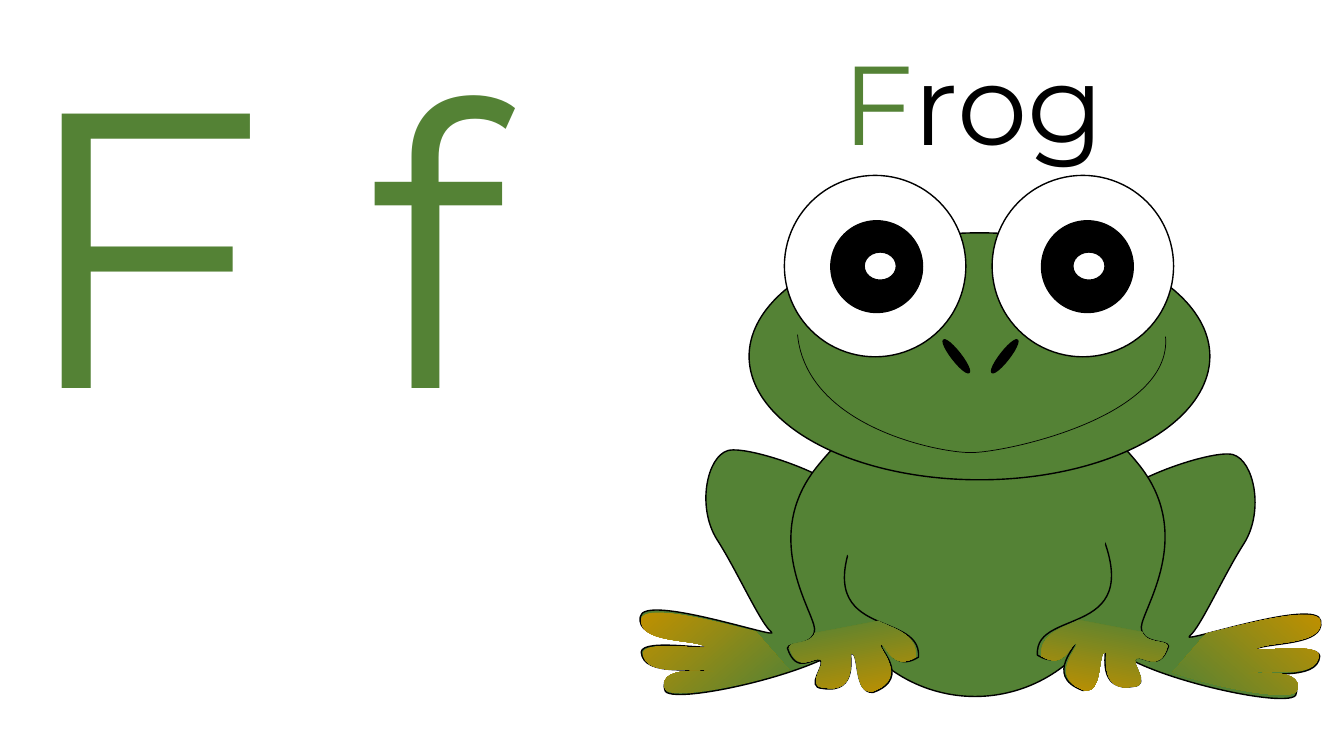
from dataclasses import dataclass

from lxml import etree
from pptx import Presentation
from pptx import util as u
from pptx.dml.color import RGBColor
from pptx.enum import shapes, text
from pptx.oxml.ns import qn


@dataclass(frozen=True)
class Theme:
    """Colours, font and sizes of the alphabet card."""
    green: str = "548235"
    gold: str = "BF9000"
    black: str = "000000"
    white: str = "FFFFFF"
    font: str = "Montserrat"
    letters: int = 280
    word: int = 80
    outline: float = 1
    thin: float = 0.5


THEME = Theme()
PX = 9144
STEPS = 24

LEG = [(711, 535), (691, 503, 701, 453, 722, 447), (744, 441, 850, 479, 841, 500),
       (833, 520, 854, 604, 844, 633), (834, 662, 673, 700, 660, 686),
       (648, 655, 726, 670, 710, 666), (694, 661, 638, 673, 636, 647),
       (637, 632, 714, 647, 700, 640), (686, 633, 631, 637, 635, 612),
       (638, 588, 777, 636, 765, 627), (754, 618, 731, 566, 711, 535)]
ARM = [(812, 461), (871, 389, 918, 391, 927, 398), (935, 405, 865, 459, 862, 501),
       (785, 643, 915, 600, 911, 652), (887, 667, 880, 640, 875, 640),
       (867, 639, 907, 672, 866, 687), (846, 688, 853, 646, 844, 648),
       (842, 647, 853, 689, 816, 683), (797, 682, 821, 658, 813, 655),
       (806, 652, 790, 670, 781, 643), (782, 636, 808, 642, 808, 624),
       (807, 606, 753, 532, 812, 461)]
FOOT = [(650, 608), (642, 608, 637, 610, 636, 614), (633, 638, 685, 634, 699, 641),
        (712, 647, 639, 634, 638, 648), (639, 673, 693, 661, 708, 666),
        (724, 670, 649, 655, 660, 684), (668, 693, 731, 682, 780, 666),
        (783, 665), (750, 627), (747, 626), (722, 620, 674, 607, 650, 608)]
HAND = [(871, 616), (808, 628), (808, 629), (803, 640, 783, 636, 783, 642),
        (791, 669, 807, 651, 814, 654), (821, 657, 798, 681, 817, 682),
        (853, 689, 841, 647, 844, 648), (853, 646, 846, 688, 865, 686),
        (905, 672, 866, 639, 874, 639), (879, 640, 885, 666, 908, 652),
        (910, 632, 893, 626, 875, 618), (871, 616)]
SMILE = [(1156, 334), (1163, 415, 992, 450, 962, 449), (932, 449, 800, 424, 791, 332)]


def rgb(colour):
    """Turn a hex string into a colour."""
    return RGBColor.from_string(colour)


def points(segment):
    """Split a flat segment into x, y pairs."""
    return list(zip(segment[::2], segment[1::2]))


def mirrored(outline, axis_sum, dy):
    """Reflect an outline left to right and shift it down by dy."""
    return [tuple(v for x, y in points(s) for v in (axis_sum - x, y + dy)) for s in outline]


def sampled(outline):
    """List points along the lines and curves of an outline."""
    result = [outline[0]]
    for segment in outline[1:]:
        if len(segment) == 2:
            result.append(segment)
            continue
        corners = [result[-1]] + points(segment)
        for step in range(1, STEPS + 1):
            t = step / STEPS
            weights = ((1 - t) ** 3, 3 * t * (1 - t) ** 2, 3 * t * t * (1 - t), t ** 3)
            result.append(tuple(sum(w * c[i] for w, c in zip(weights, corners)) for i in (0, 1)))
    return result


def paint(sp, fill=None, line=None, width=THEME.outline):
    """Set the fill and outline of a shape and drop its shadow."""
    sp.shadow.inherit = False
    if fill:
        sp.fill.solid()
        sp.fill.fore_color.rgb = rgb(fill)
    else:
        sp.fill.background()
    if line:
        sp.line.color.rgb = rgb(line)
        sp.line.width = u.Pt(width)
    else:
        sp.line.fill.background()


def paint_gradient(sp, start, end, clockwise):
    """Fill a shape with a two-colour gradient at a clockwise angle."""
    paint(sp)
    sp.fill.gradient()
    sp.fill.gradient_angle = 360 - clockwise
    for stop, colour, position in zip(sp.fill.gradient_stops, (start, end), (0, 1)):
        stop.color.rgb = rgb(colour)
        stop.position = position


def add_curve(group, outline, close=True):
    """Add a freeform made of straight lines and cubic curves."""
    first, *rest = [(round(x * PX), round(y * PX)) for x, y in sampled(outline)]
    builder = group.shapes.build_freeform(*first, scale=1.0)
    builder.add_line_segments(rest, close=close)
    sp = builder.convert_to_shape()
    path = sp.element.spPr.find(".//" + qn("a:path"))
    for child in list(path):
        path.remove(child)
    for index, segment in enumerate(outline):
        tag = "moveTo" if index == 0 else "lnTo" if len(segment) == 2 else "cubicBezTo"
        node = etree.SubElement(path, qn("a:" + tag))
        for x, y in points(segment):
            etree.SubElement(node, qn("a:pt"), x=str(x * PX - sp.left), y=str(y * PX - sp.top))
    if close:
        etree.SubElement(path, qn("a:close"))
    return sp


def add_oval(group, box, fill, line=THEME.black, rotation=0):
    """Add an ellipse in a box of left, top, width and height."""
    sp = group.shapes.add_shape(shapes.MSO_SHAPE.OVAL, *(v * PX for v in box))
    sp.rotation = rotation
    paint(sp, fill, line)


def write(sp, box, size, runs):
    """Place a text shape and write its coloured runs."""
    sp.left, sp.top, sp.width, sp.height = (v * PX for v in box)
    tf = sp.text_frame
    tf.word_wrap = True
    tf.auto_size = text.MSO_AUTO_SIZE.SHAPE_TO_FIT_TEXT
    tf.vertical_anchor = text.MSO_ANCHOR.TOP
    p = tf.paragraphs[0]
    p.alignment = text.PP_ALIGN.LEFT
    for content, colour in runs:
        r = p.add_run()
        r.text = content
        r.font.name = THEME.font
        r.font.size = u.Pt(size)
        r.font.color.rgb = rgb(colour)


def add_limbs(group):
    """Add legs, body, arms, feet and hands from back to front."""
    for leg in (LEG, mirrored(LEG, 1945, 4)):
        paint(add_curve(group, leg), THEME.green, THEME.black)
    add_oval(group, (823, 401, 288, 290), THEME.green)
    for arm in (ARM, mirrored(ARM, 1940, -2)):
        paint(add_curve(group, arm), THEME.green, THEME.black)
    for foot, angle in ((FOOT, 49), (mirrored(FOOT, 1946, 2), 131)):
        paint_gradient(add_curve(group, foot), THEME.gold, THEME.green, angle)
    for hand, angle in ((HAND, 79), (mirrored(HAND, 1941, -1), 101)):
        paint_gradient(add_curve(group, hand), THEME.green, THEME.gold, angle)
    for left, top, rotation in ((1030, 456, 12.3), (822, 447, 347.7)):
        add_oval(group, (left, top, 72, 118), THEME.green, None, rotation)


def add_face(group):
    """Add the head, eyes, nostrils and smile."""
    add_oval(group, (743, 231, 457, 245), THEME.green)
    for left in (984, 778):
        add_oval(group, (left, 174, 180, 180), THEME.white)
    for left, rotation in ((928, 52), (976, 308)):
        add_oval(group, (left, 349, 41, 9), THEME.black, rotation=rotation)
    paint(add_curve(group, SMILE, close=False), line=THEME.black, width=THEME.thin)
    for pupil, glint in ((824, 857), (1033, 1064)):
        add_oval(group, (pupil, 219, 91, 91), THEME.black)
        add_oval(group, (glint, 250, 32, 28), THEME.white)


def main():
    """Build the alphabet card for the letter F."""
    prs = Presentation()
    prs.slide_width, prs.slide_height = 1333 * PX, 750 * PX
    s = prs.slides.add_slide(prs.slide_layouts[5])
    write(s.shapes.title, (7, -8, 793, 498), THEME.letters, [("F f", THEME.green)])
    frog = s.shapes.add_group_shape()
    word = frog.shapes.add_textbox(826 * PX, 28 * PX, 352 * PX, 145 * PX)
    write(word, (826, 28, 352, 145), THEME.word, [("F", THEME.green), ("rog", THEME.black)])
    add_limbs(frog)
    add_face(frog)
    prs.save("out.pptx")


if __name__ == "__main__":
    main()
